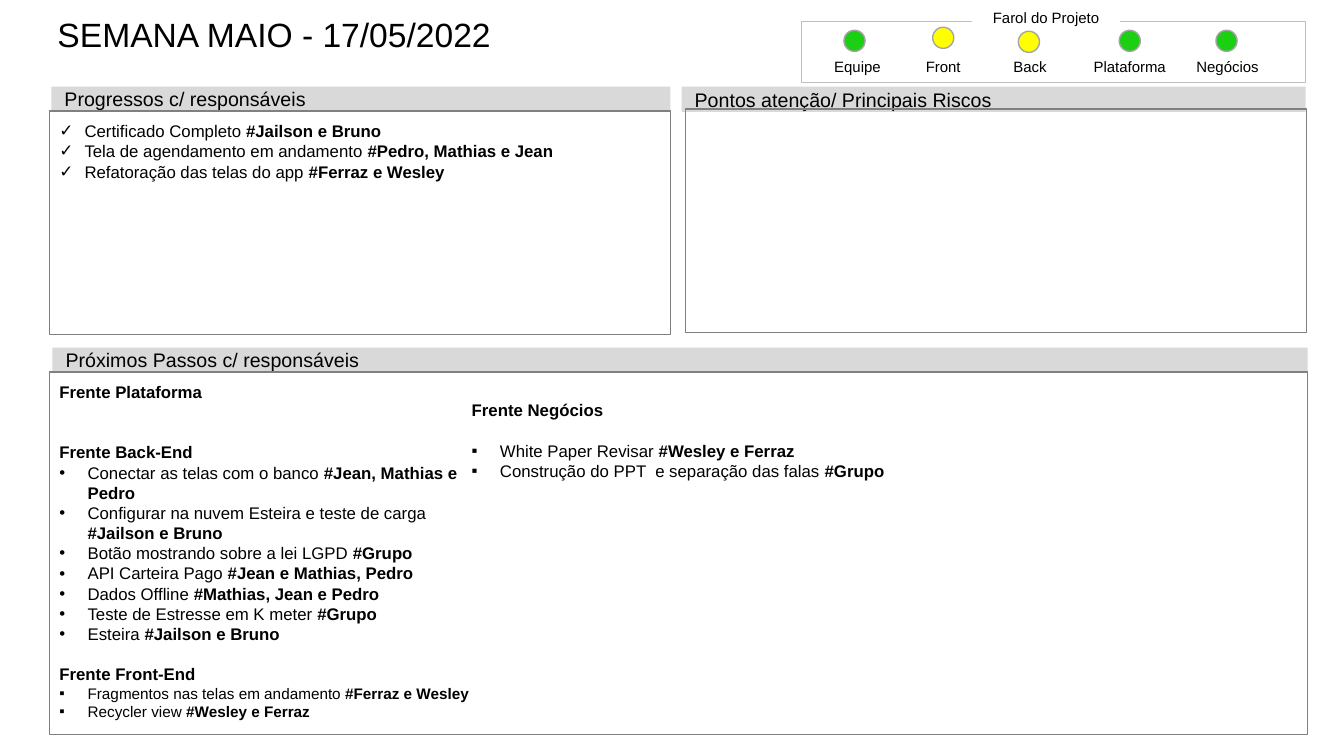
from lxml import etree
from pptx import Presentation
from pptx.dml.color import RGBColor
from pptx.enum.shapes import MSO_SHAPE
from pptx.enum.text import MSO_ANCHOR, MSO_AUTO_SIZE, PP_ALIGN
from pptx.oxml.ns import qn
from pptx.util import Inches, Pt

RECT, OVAL = MSO_SHAPE.RECTANGLE, MSO_SHAPE.OVAL
TOP, MIDDLE, BOTTOM = MSO_ANCHOR.TOP, MSO_ANCHOR.MIDDLE, MSO_ANCHOR.BOTTOM
LEFT, CENTER = PP_ALIGN.LEFT, PP_ALIGN.CENTER
NO_FIT = MSO_AUTO_SIZE.NONE

COLORS = {"text": "000000", "header": "D9D9D9", "frame": "808080", "panel": "BFBFBF",
          "ring": "A5A5A5", "green": "1BCF13", "yellow": "FFFF00", "white": "FFFFFF"}
LINE_GAP = 14.3
BODY_INSETS = (0.1, 0.1, 0.1, 0.05)
LABEL_INSETS = (0.05, 0.05, 0.05, 0)
COLUMN_WIDTH = 4.09

LIGHTS = [("Equipe", 8.06, 8.37, 0.3, "green"), ("Front", 8.91, 9.25, 0.27, "yellow"),
          ("Back", 9.77, 10.1, 0.31, "yellow"), ("Plataforma", 10.76, 11.1, 0.3, "green"),
          ("Negócios", 11.73, 12.06, 0.3, "green")]
HEADERS = [("Progressos c/ responsáveis", (0.51, 0.86, 6.14, 0.24)),
           ("Pontos atenção/ Principais Riscos", (6.76, 0.86, 6.19, 0.25)),
           ("Próximos Passos c/ responsáveis", (0.52, 3.45, 12.45, 0.24))]
PROGRESS = [("Certificado Completo ", "#Jailson e Bruno"),
            ("Tela de agendamento em andamento ", "#Pedro, Mathias e Jean"),
            ("Refatoração das telas do app ", "#Ferraz e Wesley")]
BACK_END = [("Conectar as telas com o banco ", "#Jean, Mathias e Pedro"),
            ("Configurar na nuvem Esteira e teste de carga ", "#Jailson e Bruno"),
            ("Botão mostrando sobre a lei LGPD ", "#Grupo"),
            ("API Carteira Pago ", "#Jean e Mathias, Pedro"),
            ("Dados Offline ", "#Mathias, Jean e Pedro"),
            ("Teste de Estresse em K meter ", "#Grupo"),
            ("Esteira ", "#Jailson e Bruno")]
FRONT_END = [("Fragmentos nas telas em andamento ", "#Ferraz e Wesley"),
             ("Recycler view ", "#Wesley e Ferraz")]
BUSINESS = [("White Paper Revisar ", "#Wesley e Ferraz"),
            ("Construção do PPT  e separação das falas ", "#Grupo")]


def rgb(name):
    return RGBColor.from_string(COLORS[name])


def set_frame(tf, insets, anchor=TOP, wrap=True):
    sides = ("margin_left", "margin_top", "margin_right", "margin_bottom")
    values = dict(zip(sides, map(Inches, insets)))
    values.update(auto_size=NO_FIT, word_wrap=wrap, vertical_anchor=anchor)
    for name, value in values.items():
        setattr(tf, name, value)


def add_run(p, text, size, bold=False):
    r = p.add_run()
    r.text = text
    for name, value in {"name": "Arial", "size": Pt(size), "bold": bold}.items():
        setattr(r.font, name, value)
    r.font.color.rgb = rgb("text")


def add_box(s, at, kind=RECT, fill=None, line=None, weight=1):
    sp = s.shapes.add_shape(kind, *map(Inches, at))
    sp.shadow.inherit = False
    if fill:
        sp.fill.solid()
        sp.fill.fore_color.rgb = rgb(fill)
    else:
        sp.fill.background()
    if line:
        sp.line.color.rgb = rgb(line)
        sp.line.width = Pt(weight)
    else:
        sp.line.fill.background()
    return sp


def write_line(sp, text, size, insets, anchor, align, wrap=True):
    set_frame(sp.text_frame, insets, anchor, wrap)
    p = sp.text_frame.paragraphs[0]
    p.alignment = align
    add_run(p, text, size)


def next_paragraph(tf, gap=0):
    p = tf.paragraphs[0]
    if p.runs:
        p = tf.add_paragraph()
    p.alignment = LEFT
    p.space_before = Pt(gap)
    return p


def add_heading(tf, text, gap=0):
    add_run(next_paragraph(tf, gap), text, 12, True)


def add_bullets(tf, items, char, indent=0.28, size=12, gap=0):
    for i, (task, owners) in enumerate(items):
        p = next_paragraph(tf, 0 if i else gap)
        pPr = p._p.get_or_add_pPr()
        pPr.set("marL", str(Inches(indent)))
        pPr.set("indent", str(-Inches(indent)))
        etree.SubElement(pPr, qn("a:buFont"), typeface="Arial")
        etree.SubElement(pPr, qn("a:buChar"), char=char)
        add_run(p, task, size)
        add_run(p, owners, size, True)


def add_title(s, text):
    title = s.shapes.title
    title.left, title.top, title.width, title.height = map(Inches, (0.47, 0.18, 12, 0.79))
    write_line(title, text, 24, (0.1, 0, 0.1, 0), TOP, LEFT)
    title.text_frame.paragraphs[0].line_spacing = 0.9


def add_status_panel(s):
    add_box(s, (7.95, 0.21, 5, 0.61), line="panel", weight=0.5)
    caption = add_box(s, (9.64, 0.05, 1.47, 0.21), fill="white")
    write_line(caption, "Farol do Projeto", 10.7, LABEL_INSETS, BOTTOM, CENTER, False)
    for label, label_x, light_x, light_y, color in LIGHTS:
        tb = s.shapes.add_textbox(*map(Inches, (label_x, 0.57, 0.89, 0.18)))
        write_line(tb, label, 10.7, LABEL_INSETS, BOTTOM, CENTER, False)
        add_box(s, (light_x, light_y, 0.21, 0.21), OVAL, color, "ring")


def add_next_steps(s):
    left, top, width, height = 0.49, 3.69, 12.48, 3.6
    tf = add_box(s, (left, top, width, height), line="frame").text_frame
    set_frame(tf, (0.1, 0.1, width - 0.1 - COLUMN_WIDTH, 0.05))
    add_heading(tf, "Frente Plataforma")
    add_heading(tf, "Frente Back-End", 2 * LINE_GAP)
    add_bullets(tf, BACK_END, "•")
    add_heading(tf, "Frente Front-End", LINE_GAP)
    add_bullets(tf, FRONT_END, "▪", size=10.9)

    column = (left + COLUMN_WIDTH, top + 0.18, COLUMN_WIDTH + 0.2, 1.3)
    tf = s.shapes.add_textbox(*map(Inches, column)).text_frame
    set_frame(tf, BODY_INSETS)
    add_heading(tf, "Frente Negócios")
    add_bullets(tf, BUSINESS, "▪", gap=LINE_GAP)


def main():
    prs = Presentation()
    prs.slide_width, prs.slide_height = Inches(13.33), Inches(7.5)
    s = prs.slides.add_slide(prs.slide_layouts[5])
    add_title(s, "SEMANA MAIO - 17/05/2022")
    add_status_panel(s)
    for text, at in HEADERS:
        header = add_box(s, at, fill="header")
        write_line(header, text, 14, (0.13, 0.07, 0.13, 0.07), MIDDLE, LEFT)
    tf = add_box(s, (0.49, 1.1, 6.16, 2.22), line="frame").text_frame
    set_frame(tf, BODY_INSETS)
    add_bullets(tf, PROGRESS, "✓", indent=0.25)
    add_box(s, (6.8, 1.08, 6.16, 2.22), line="frame")
    add_next_steps(s)
    prs.save("out.pptx")


if __name__ == "__main__":
    main()
